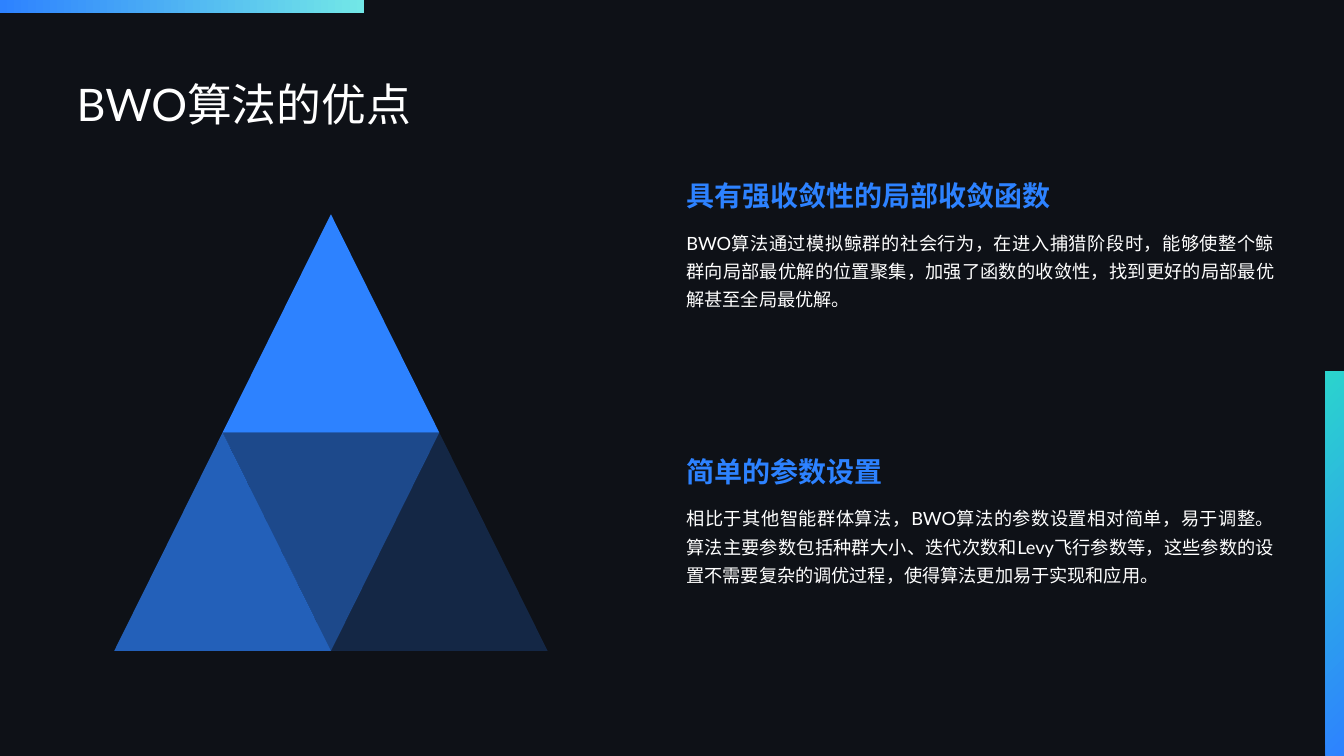
from pptx import Presentation
from pptx.dml.color import RGBColor
from pptx.enum.shapes import MSO_SHAPE as SHAPE
from pptx.enum.text import MSO_ANCHOR as ANCHOR, MSO_AUTO_SIZE as AUTO, PP_ALIGN as ALIGN
from pptx.oxml.ns import qn
from pptx.util import Cm, Pt
from lxml.etree import SubElement

BLUE, WHITE = "2D82FF", "FFFFFF"


def rgb(code):
    return RGBColor.from_string(code)


def set_text(sp, text, size, color, anchor, align, spacing=1.0, bold=False):
    """Fill a shape with one paragraph, without insets."""
    tf = sp.text_frame
    tf.word_wrap = True
    tf.auto_size = AUTO.NONE
    tf.vertical_anchor = anchor
    tf.margin_left = tf.margin_top = tf.margin_right = tf.margin_bottom = 0
    p = tf.paragraphs[0]
    p.text = text
    p.alignment = align
    p.line_spacing = spacing
    p.font.name = "Lato"
    p.font.size = Pt(size)
    p.font.bold = bold
    p.font.color.rgb = rgb(color)


prs = Presentation()
prs.slide_width, prs.slide_height = Cm(33.87), Cm(19.05)
s = prs.slides.add_slide(prs.slide_layouts[5])
s.background.fill.solid()
s.background.fill.fore_color.rgb = rgb("0E1117")

# Gradient strips at the slide edges
strips = [
    (0, 0, 9.17, 0.32, "72E7E7", 0),
    (33.4, 9.37, 0.47, 9.68, "2BD4CD", 135),
]
for left, top, width, height, end_color, angle in strips:
    sp = s.shapes.add_shape(SHAPE.RECTANGLE, Cm(left), Cm(top), Cm(width), Cm(height))
    sp.shadow.inherit = False
    sp.line.fill.background()
    sp.fill.gradient()
    sp.fill.gradient_angle = angle
    for stop, color, position in zip(sp.fill.gradient_stops, (BLUE, end_color), (0, 1)):
        stop.color.rgb = rgb(color)
        stop.position = position

title = s.shapes.title
title.left, title.top, title.width, title.height = Cm(1.93), Cm(1.09), Cm(30), Cm(2.21)
set_text(title, "BWO算法的优点", 32, WHITE, ANCHOR.BOTTOM, ALIGN.LEFT, 0.9)

# Pyramid of four triangles: column in half widths, row, rotation, opacity in percent
PYRAMID_LEFT, PYRAMID_TOP, TRI_W, TRI_H = 2.88, 5.4, 5.46, 5.5
triangles = [(1, 0, 0, 100), (1, 1, 180, 50), (0, 1, 0, 70), (2, 1, 0, 20)]
for col, row, rotation, opacity in triangles:
    sp = s.shapes.add_shape(
        SHAPE.ISOSCELES_TRIANGLE,
        Cm(PYRAMID_LEFT + col * TRI_W / 2), Cm(PYRAMID_TOP + row * TRI_H),
        Cm(TRI_W), Cm(TRI_H))
    sp.rotation = rotation
    sp.shadow.inherit = False
    sp.line.fill.background()
    sp.fill.solid()
    sp.fill.fore_color.rgb = rgb(BLUE)
    if opacity < 100:
        color = sp.fill._xPr.find(qn("a:solidFill")).find(qn("a:srgbClr"))
        SubElement(color, qn("a:alpha")).set("val", str(opacity * 1000))

# Advantages, each a heading above its explanation
advantages = [
    ("具有强收敛性的局部收敛函数",
     "BWO算法通过模拟鲸群的社会行为，在进入捕猎阶段时，能够使整个鲸群向局部最优解的位置聚集，"
     "加强了函数的收敛性，找到更好的局部最优解甚至全局最优解。"),
    ("简单的参数设置",
     "相比于其他智能群体算法，BWO算法的参数设置相对简单，易于调整。算法主要参数包括种群大小、"
     "迭代次数和Levy飞行参数等，这些参数的设置不需要复杂的调优过程，使得算法更加易于实现和应用。"),
]
TEXT_LEFT, TEXT_W = Cm(17.3), Cm(14.81)
for i, (heading, explanation) in enumerate(advantages):
    top = 4.42 + i * 6.95
    sp = s.shapes.add_textbox(TEXT_LEFT, Cm(top), TEXT_W, Cm(1.02))
    set_text(sp, heading, 20, BLUE, ANCHOR.MIDDLE, ALIGN.LEFT, bold=True)
    sp = s.shapes.add_textbox(TEXT_LEFT, Cm(top + 1.26), TEXT_W, Cm(5.1))
    set_text(sp, explanation, 13, WHITE, ANCHOR.TOP, ALIGN.JUSTIFY, 1.3)

prs.save("out.pptx")
